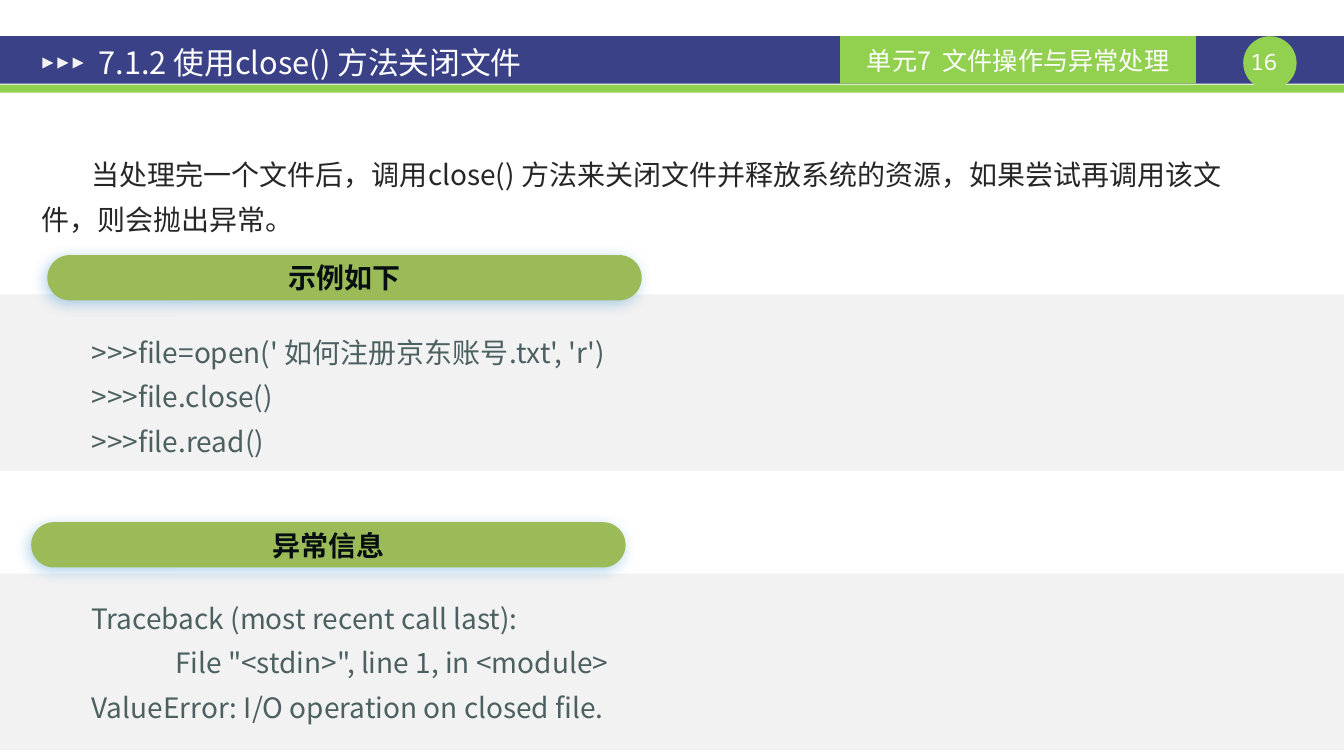
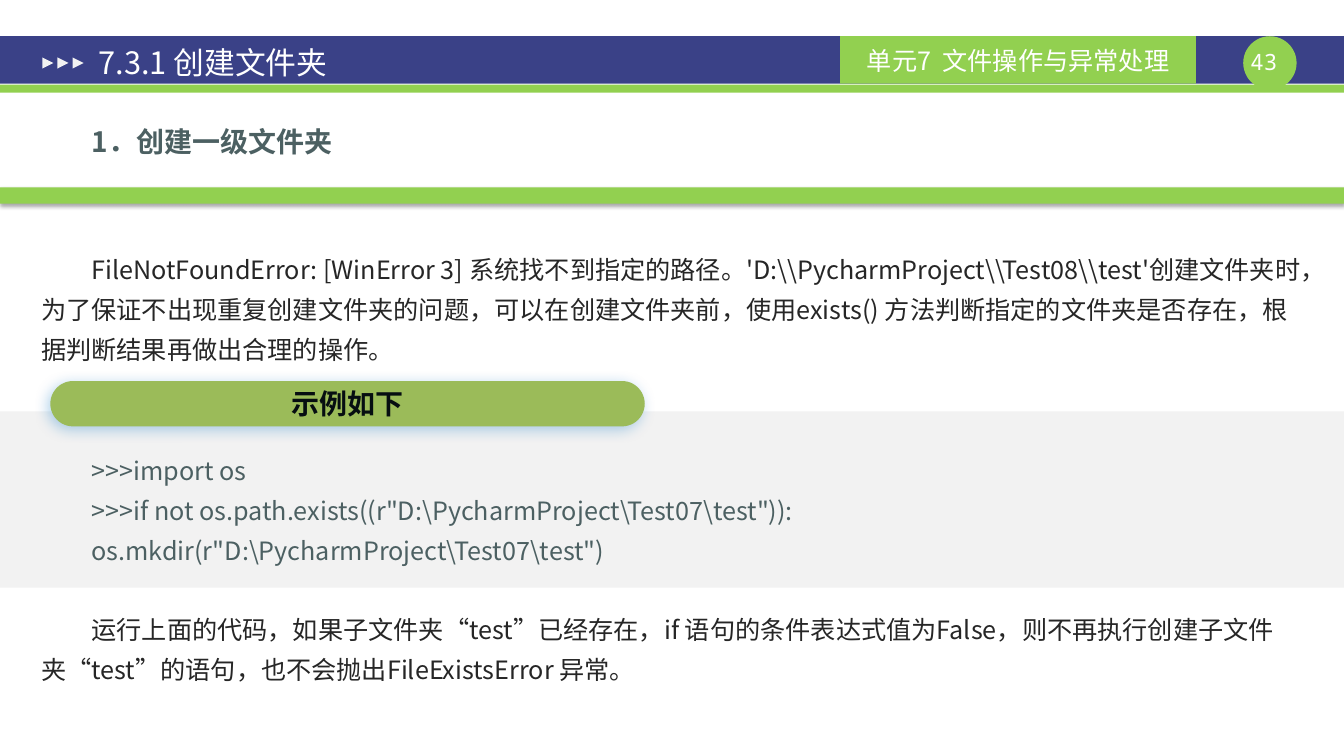
from dataclasses import dataclass

from lxml.etree import SubElement
from pptx import Presentation
from pptx.dml.color import RGBColor
from pptx.enum.shapes import MSO_SHAPE
from pptx.enum.text import MSO_ANCHOR, PP_ALIGN
from pptx.oxml.ns import qn
from pptx.shapes.autoshape import Shape
from pptx.slide import Slide
from pptx.text.text import TextFrame
from pptx.util import Inches, Pt


@dataclass(frozen=True)
class Theme:
    navy: str = "3A4187"
    lime: str = "92D050"
    olive: str = "9BBB59"
    pale: str = "F2F2F2"
    white: str = "FFFFFF"
    ink: str = "262626"
    slate: str = "4C6062"
    dark: str = "060E11"
    font: str = "Noto Sans CJK SC"
    mono: str = "Noto Sans Mono"
    title: int = 22
    large: int = 20
    small: int = 18
    page: int = 16


@dataclass(frozen=True)
class Shade:
    color: str
    alpha: int
    blur: float
    dist: float
    angle: int


@dataclass(frozen=True)
class Box:
    left: float
    top: float
    width: float
    height: float


@dataclass(frozen=True)
class Block:
    """Body text; a leading tab marks a deeper line."""
    box: Box
    text: str
    color: str
    size: int
    bold: bool = False


@dataclass(frozen=True)
class Pill:
    left: float
    top: float
    text: str


@dataclass(frozen=True)
class Page:
    number: int
    title: str
    bands: tuple[float, ...]
    blocks: tuple[Block, ...]
    pills: tuple[Pill, ...]
    rule: float | None = None


THEME = Theme()
WIDTH = 13.34
INDENT, DEEP = 0.5, 1.33
GLOW = Shade("0070C0", 30, 10, 3, 135)
DROP = Shade("000000", 35, 3.1, 1.8, 90)
UNIT = "单元7  文件操作与异常处理"


# Text and shape helpers
def write(frame: TextFrame, text: str, *, size: int, color: str,
          font: str = THEME.font, bold: bool = False, align=PP_ALIGN.LEFT,
          anchor=MSO_ANCHOR.MIDDLE, indent: float = 0, space: float = 1,
          inset: tuple[float, float] = (0.1, 0.05)) -> None:
    frame.word_wrap = True
    frame.vertical_anchor = anchor
    frame.margin_left = frame.margin_right = Inches(inset[0])
    frame.margin_top = frame.margin_bottom = Inches(inset[1])
    for i, line in enumerate(text.split("\n")):
        para = frame.add_paragraph() if i else frame.paragraphs[0]
        first = DEEP if line.startswith("\t") else indent
        props = para._p.get_or_add_pPr()
        props.set("marL", "0")
        props.set("indent", str(Inches(first)))
        para.alignment = align
        para.line_spacing = space
        run = para.add_run()
        run.text = line.lstrip("\t")
        run.font.size = Pt(size)
        run.font.bold = bold
        run.font.color.rgb = RGBColor.from_string(color)
        run.font.name = font
        SubElement(run._r.get_or_add_rPr(), qn("a:ea"), typeface=font)


def place(box: Box) -> tuple[int, ...]:
    return tuple(Inches(v) for v in (box.left, box.top, box.width, box.height))


def draw(slide: Slide, box: Box, color: str, kind=MSO_SHAPE.RECTANGLE,
         shade: Shade | None = None) -> Shape:
    shape = slide.shapes.add_shape(kind, *place(box))
    shape.fill.solid()
    shape.fill.fore_color.rgb = RGBColor.from_string(color)
    shape.line.fill.background()
    shape.shadow.inherit = False
    if shade:
        effects = shape._element.spPr.find(qn("a:effectLst"))
        outer = SubElement(effects, qn("a:outerShdw"),
                           blurRad=str(Pt(shade.blur)), dist=str(Pt(shade.dist)),
                           dir=str(shade.angle * 60000), rotWithShape="0")
        tint = SubElement(outer, qn("a:srgbClr"), val=shade.color)
        SubElement(tint, qn("a:alpha"), val=str(shade.alpha * 1000))
    return shape


def label(slide: Slide, box: Box, text: str, **style) -> None:
    write(slide.shapes.add_textbox(*place(box)).text_frame, text, **style)


# Parts shared by all slides
def header(slide: Slide, page: Page) -> None:
    draw(slide, Box(0, 0.36, WIDTH, 0.47), THEME.navy)
    draw(slide, Box(0, 0.84, WIDTH, 0.08), THEME.lime)
    draw(slide, Box(12.34, 0.36, 0.53, 0.53), THEME.lime, MSO_SHAPE.OVAL)
    label(slide, Box(12.28, 0.48, 0.53, 0.27), str(page.number),
          size=THEME.page, color=THEME.white, font=THEME.mono,
          align=PP_ALIGN.CENTER, anchor=MSO_ANCHOR.TOP, inset=(0, 0))
    unit = draw(slide, Box(8.34, 0.36, 3.53, 0.47), THEME.lime)
    write(unit.text_frame, UNIT, size=THEME.small, color=THEME.white,
          align=PP_ALIGN.CENTER)
    for i in range(3):
        mark = draw(slide, Box(0.42 + 0.15 * i, 0.57, 0.11, 0.11), THEME.pale,
                    MSO_SHAPE.ISOSCELES_TRIANGLE)
        mark.rotation = 90
    label(slide, Box(0.85, 0.4, 7.2, 0.44), page.title, size=THEME.title,
          color=THEME.white, inset=(0.13, 0.07))


def build(slide: Slide, page: Page) -> None:
    header(slide, page)
    for top in page.bands:
        draw(slide, Box(0, top, WIDTH, 1.75), THEME.pale)
    if page.rule is not None:
        draw(slide, Box(0, page.rule, WIDTH, 0.16), THEME.lime, shade=DROP)
    for block in page.blocks:
        label(slide, block.box, block.text, size=block.size, color=block.color,
              bold=block.bold, anchor=MSO_ANCHOR.TOP, indent=INDENT, space=1.32)
    for pill in page.pills:
        shape = draw(slide, Box(pill.left, pill.top, 5.9, 0.45), THEME.olive,
                     MSO_SHAPE.ROUNDED_RECTANGLE, GLOW)
        shape.adjustments[0] = 0.5
        write(shape.text_frame, pill.text, size=THEME.large, color=THEME.dark,
              bold=True, align=PP_ALIGN.CENTER)


# Slide content
PAGES = (
    Page(
        16, "7.1.2 使用close() 方法关闭文件", bands=(2.92, 5.69),
        blocks=(
            Block(Box(0.31, 1.41, 12.11, 1), "当处理完一个文件后，调用close() 方法来关闭文件并"
                  "释放系统的资源，如果尝试再调用该文件，则会抛出异常。",
                  THEME.ink, THEME.large),
            Block(Box(0.31, 3.17, 12.11, 1.42),
                  ">>>file=open(' 如何注册京东账号.txt', 'r')\n"
                  ">>>file.close()\n>>>file.read()", THEME.slate, THEME.large),
            Block(Box(0.31, 5.81, 12.11, 1.42),
                  "Traceback (most recent call last):\n"
                  "\tFile \"<stdin>\", line 1, in <module>\n"
                  "ValueError: I/O operation on closed file.",
                  THEME.slate, THEME.large),
        ),
        pills=(Pill(0.47, 2.53, "示例如下"), Pill(0.31, 5.18, "异常信息")),
    ),
    Page(
        43, "7.3.1 创建文件夹", bands=(4.08,), rule=1.86,
        blocks=(
            Block(Box(0.31, 1.08, 12.48, 0.5), "1．创建一级文件夹",
                  THEME.slate, THEME.large, bold=True),
            Block(Box(0.31, 2.38, 12.77, 1.3),
                  r"FileNotFoundError: [WinError 3] 系统找不到指定的路径。"
                  r"'D:\\PycharmProject\\Test08\\test'创建文件夹时，"
                  "为了保证不出现重复创建文件夹的问题，可以在创建文件夹前，"
                  "使用exists() 方法判断指定的文件夹是否存在，"
                  "根据判断结果再做出合理的操作。", THEME.ink, THEME.small),
            Block(Box(0.31, 4.37, 12.77, 1.3),
                  ">>>import os\n"
                  ">>>if not os.path.exists((r\"D:\\PycharmProject\\Test07\\test\")):\n"
                  "os.mkdir(r\"D:\\PycharmProject\\Test07\\test\")",
                  THEME.slate, THEME.small),
            Block(Box(0.31, 5.95, 12.77, 0.9),
                  "运行上面的代码，如果子文件夹“test”已经存在，"
                  "if 语句的条件表达式值为False，则不再执行创建子文件夹“test”的语句，"
                  "也不会抛出FileExistsError 异常。", THEME.ink, THEME.small),
        ),
        pills=(Pill(0.5, 3.78, "示例如下"),),
    ),
)


def main() -> None:
    deck = Presentation()
    deck.slide_width, deck.slide_height = Inches(WIDTH), Inches(7.5)
    blank = deck.slide_layouts[6]
    for page in PAGES:
        build(deck.slides.add_slide(blank), page)
    deck.save("out.pptx")


if __name__ == "__main__":
    main()
